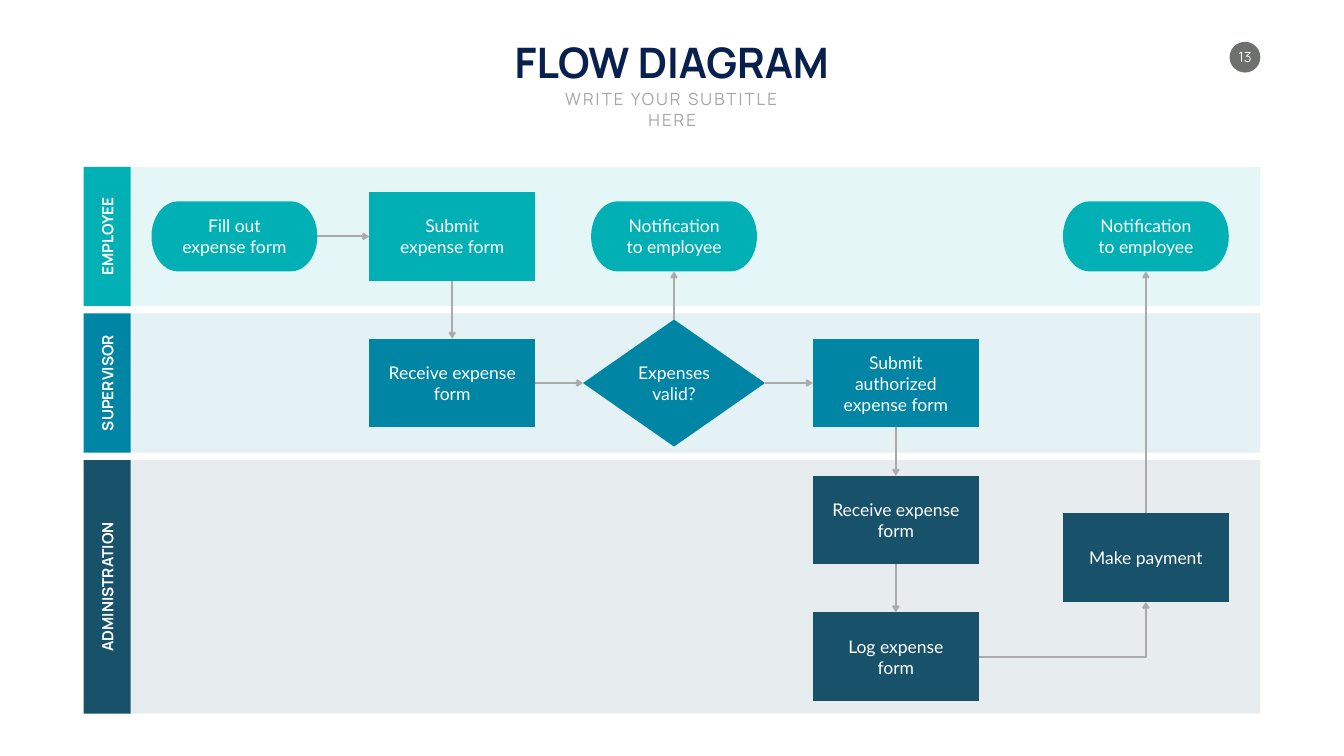
from dataclasses import dataclass

from lxml.etree import SubElement
from pptx import Presentation
from pptx.dml.color import RGBColor
from pptx.enum.shapes import MSO_CONNECTOR, MSO_SHAPE
from pptx.enum.text import MSO_ANCHOR, PP_ALIGN
from pptx.oxml.ns import qn
from pptx.util import Inches, Pt

WHITE = RGBColor(0xFF, 0xFF, 0xFF)
NAVY = RGBColor(0x08, 0x20, 0x4D)
SILVER = RGBColor(0xA6, 0xA6, 0xA6)
ARROW_GRAY = RGBColor(0xAA, 0xAA, 0xAA)
BADGE_GRAY = RGBColor(0x6D, 0x70, 0x6D)
TURQUOISE = RGBColor(0x00, 0xB0, 0xB5)
BLUE = RGBColor(0x00, 0x85, 0xA4)
PETROL = RGBColor(0x18, 0x52, 0x6A)

HEADING_FONT = "Manrope"
BODY_FONT = "Lato"

LANE_LEFT, LANE_TOP, LANE_GAP = 1.66, 3.31, 0.15
LABEL_WIDTH, BAND_WIDTH = 0.93, 22.41
LANES = [
    ("EMPLOYEE", 2.76, TURQUOISE),
    ("SUPERVISOR", 2.76, BLUE),
    ("ADMINISTRATION", 5.03, PETROL),
]

COLUMNS = [4.65, 8.97, 13.37, 17.77, 22.73]
EMPLOYEE_ROW, SUPERVISOR_ROW = 4.69, 7.6
RECEIPT_ROW, PAYMENT_ROW, LOG_ROW = 10.32, 11.06, 13.03
TOP, LEFT, BOTTOM, RIGHT = range(4)


@dataclass
class Kind:
    """Shape, size and side inset shared by steps of one kind."""

    preset: MSO_SHAPE
    width: float
    height: float
    inset: float


PROCESS = Kind(MSO_SHAPE.FLOWCHART_PROCESS, 3.29, 1.76, 0.36)
NARROW_PROCESS = Kind(MSO_SHAPE.FLOWCHART_PROCESS, 3.29, 1.76, 0.54)
TERMINAL = Kind(MSO_SHAPE.FLOWCHART_TERMINATOR, 3.29, 1.39, 0.4)
DECISION = Kind(MSO_SHAPE.DIAMOND, 3.61, 2.52, 0)

STEPS = {
    "fill": (TERMINAL, 0, EMPLOYEE_ROW, TURQUOISE, "Fill out expense form"),
    "submit": (NARROW_PROCESS, 1, EMPLOYEE_ROW, TURQUOISE, "Submit expense form"),
    "rejected": (TERMINAL, 2, EMPLOYEE_ROW, TURQUOISE, "Notification to employee"),
    "paid": (TERMINAL, 4, EMPLOYEE_ROW, TURQUOISE, "Notification to employee"),
    "review": (PROCESS, 1, SUPERVISOR_ROW, BLUE, "Receive expense form"),
    "valid": (DECISION, 2, SUPERVISOR_ROW, BLUE, "Expenses valid?"),
    "authorize": (PROCESS, 3, SUPERVISOR_ROW, BLUE, "Submit authorized expense form"),
    "receive": (PROCESS, 3, RECEIPT_ROW, PETROL, "Receive expense form"),
    "log": (PROCESS, 3, LOG_ROW, PETROL, "Log expense form"),
    "pay": (PROCESS, 4, PAYMENT_ROW, PETROL, "Make payment"),
}

LINKS = [
    ("fill", RIGHT, "submit", LEFT),
    ("submit", BOTTOM, "review", TOP),
    ("review", RIGHT, "valid", LEFT),
    ("valid", TOP, "rejected", BOTTOM),
    ("valid", RIGHT, "authorize", LEFT),
    ("authorize", BOTTOM, "receive", TOP),
    ("receive", BOTTOM, "log", TOP),
    ("log", RIGHT, "pay", BOTTOM),
    ("pay", TOP, "paid", BOTTOM),
]


def write_text(shape, text, *, size, font=BODY_FONT, color=WHITE, bold=False,
               spacing=0, anchor=MSO_ANCHOR.MIDDLE, wrap=True, inset=0.1,
               inset_y=0.05, upward=False):
    """Put one centred paragraph into a shape with the given format."""
    frame = shape.text_frame
    frame.word_wrap = wrap
    frame.vertical_anchor = anchor
    frame.margin_left = frame.margin_right = Inches(inset)
    frame.margin_top = frame.margin_bottom = Inches(inset_y)
    if upward:
        frame._txBody.bodyPr.set("vert", "vert270")
    para = frame.paragraphs[0]
    para.alignment = PP_ALIGN.CENTER
    span = para.add_run()
    span.text = text
    span.font.name = font
    span.font.size = Pt(size)
    span.font.bold = bold
    span.font.color.rgb = color
    if spacing:
        span._r.get_or_add_rPr().set("spc", str(spacing * 100))


def add_box(page, preset, left, top, width, height, color, opacity=100):
    """Add a filled shape without outline or shadow."""
    box = page.shapes.add_shape(
        preset, Inches(left), Inches(top), Inches(width), Inches(height))
    box.shadow.inherit = False
    box.line.fill.background()
    box.fill.solid()
    box.fill.fore_color.rgb = color
    if opacity < 100:
        tint = box._element.spPr.find(qn("a:solidFill")).find(qn("a:srgbClr"))
        SubElement(tint, qn("a:alpha"), val=str(opacity * 1000))
    return box


def add_heading(page, text, left, top, width, height, **style):
    """Add a text box in the heading font."""
    box = page.shapes.add_textbox(
        Inches(left), Inches(top), Inches(width), Inches(height))
    write_text(box, text, font=HEADING_FONT, anchor=MSO_ANCHOR.TOP, **style)


def add_lanes(page):
    """Stack the swimlanes, each a label bar and a tinted band."""
    top = LANE_TOP
    for name, height, color in LANES:
        label = add_box(page, MSO_SHAPE.RECTANGLE, LANE_LEFT, top,
                        LABEL_WIDTH, height, color)
        write_text(label, name, size=22, font=HEADING_FONT, bold=True, upward=True)
        add_box(page, MSO_SHAPE.RECTANGLE, LANE_LEFT + LABEL_WIDTH, top,
                BAND_WIDTH, height, color, opacity=10)
        top += height + LANE_GAP


def add_step(page, kind, column, center_y, color, text):
    """Add a flow step centred on its column and row."""
    left = COLUMNS[column] - kind.width / 2
    top = center_y - kind.height / 2
    box = add_box(page, kind.preset, left, top, kind.width, kind.height, color)
    write_text(box, text, size=25, inset=kind.inset)
    return box


def add_link(page, source, source_side, target, target_side):
    """Connect two steps with an arrow, bent when it turns a corner."""
    bent = source_side % 2 != target_side % 2
    style = MSO_CONNECTOR.ELBOW if bent else MSO_CONNECTOR.STRAIGHT
    link = page.shapes.add_connector(style, 0, 0, 0, 0)
    link.begin_connect(source, source_side)
    link.end_connect(target, target_side)
    link.line.color.rgb = ARROW_GRAY
    link.line.width = Pt(3)
    properties = link._element.spPr
    if bent:
        properties.find(qn("a:prstGeom")).set("prst", "bentConnector2")
    SubElement(properties.find(qn("a:ln")), qn("a:tailEnd"), type="arrow")
    SubElement(properties, qn("a:effectLst"))


def main():
    """Build the expense flow slide and save it."""
    deck = Presentation()
    deck.slide_width, deck.slide_height = Inches(26.66), Inches(15)
    page = deck.slides.add_slide(deck.slide_layouts[6])

    badge = add_box(page, MSO_SHAPE.OVAL, 24.39, 0.83, 0.61, 0.61, BADGE_GRAY)
    write_text(badge, "13", size=20, font=HEADING_FONT, wrap=False,
               inset=0, inset_y=0)
    add_heading(page, "FLOW DIAGRAM", 9.9, 0.67, 6.85, 1.11,
                size=60, color=NAVY, bold=True, wrap=False)
    add_heading(page, "WRITE YOUR SUBTITLE HERE", 10.62, 1.72, 5.43, 0.5,
                size=24, color=SILVER, spacing=3)

    add_lanes(page)
    boxes = {name: add_step(page, *step) for name, step in STEPS.items()}
    for source, source_side, target, target_side in LINKS:
        add_link(page, boxes[source], source_side, boxes[target], target_side)
    deck.save("out.pptx")


if __name__ == "__main__":
    main()
